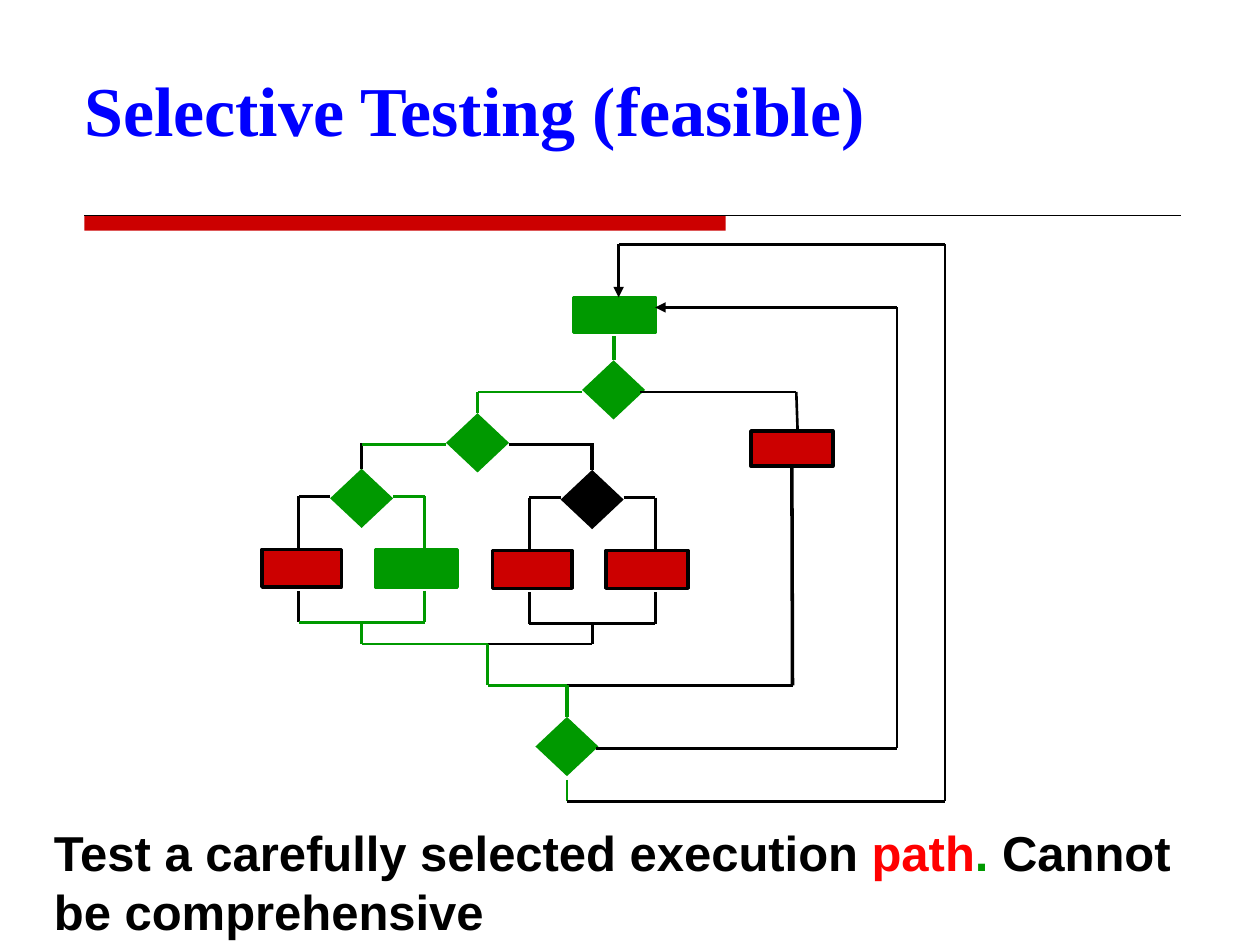
from dataclasses import dataclass
from itertools import pairwise
from typing import Optional

from lxml.etree import SubElement
from pptx import Presentation
from pptx.dml.color import RGBColor
from pptx.enum.shapes import MSO_CONNECTOR, MSO_SHAPE
from pptx.enum.text import MSO_ANCHOR
from pptx.oxml.ns import qn
from pptx.util import Cm, Length, Pt

COLOURS = {
    "title": "0000FF", "bar": "CC0000", "taken": "009900",
    "skipped": "CC0000", "line": "000000", "accent": "FF0000",
}
TOP, BOTTOM = 0, 2


@dataclass
class Span:
    text: str
    colour: str


@dataclass
class Route:
    """A chain of straight lines, optionally joined to (shape, site) at its ends."""
    points: list[tuple[float, float]]
    colour: str = "line"
    width: float = 1.5
    start: Optional[tuple] = None
    end: Optional[tuple] = None
    arrow: bool = False


def colour_of(name: str) -> RGBColor:
    return RGBColor.from_string(COLOURS[name])


def grid(units: float) -> Length:
    """Layout unit of 2.54 cm; the page is 10 by 7.5 units."""
    return Cm(units * 2.54)


def add_node(page, kind, left: float, top: float, width: float, height: float,
             fill: str, line: Optional[str] = None):
    node = page.shapes.add_shape(kind, grid(left), grid(top), grid(width), grid(height))
    node.shadow.inherit = False
    node.fill.solid()
    node.fill.fore_color.rgb = colour_of(fill)
    if line:
        node.line.color.rgb = colour_of(line)
        node.line.width = Pt(2)
    else:
        node.line.fill.background()
    return node


def add_step(page, left: float, top: float, width: float, height: float, taken: bool):
    fill, line = ("taken", "taken") if taken else ("skipped", "line")
    return add_node(page, MSO_SHAPE.RECTANGLE, left, top, width, height, fill, line)


def add_decision(page, centre: float, top: float, fill: str = "taken"):
    return add_node(page, MSO_SHAPE.DIAMOND, centre - 0.25, top, 0.5, 0.47, fill)


def add_route(page, route: Route) -> None:
    segments = list(pairwise(route.points))
    for index, (begin, finish) in enumerate(segments):
        last = index == len(segments) - 1
        connector = page.shapes.add_connector(
            MSO_CONNECTOR.STRAIGHT, *(grid(value) for value in begin + finish))
        connector.line.color.rgb = colour_of(route.colour)
        connector.line.width = Pt(route.width)
        if route.start and index == 0:
            connector.begin_connect(*route.start)
        if route.end and last:
            connector.end_connect(*route.end)
        if route.arrow and last:
            SubElement(connector.line._get_or_add_ln(), qn("a:tailEnd"), type="triangle")
        SubElement(connector._element.spPr, qn("a:effectLst"))


def add_branch(page, centre: float, top: float, entry: float, decision_fill: str,
               left_colour: str, right_colour: str, join_colour: str) -> None:
    """Draw a decision with two steps that merge again; entry is the line's height."""
    decision = add_decision(page, centre, top, decision_fill)
    add_step(page, centre - 0.79, top + 0.64, 0.63, 0.3, left_colour == "taken")
    add_step(page, centre + 0.11, top + 0.64, 0.65, 0.3, right_colour == "taken")
    add_route(page, Route([(centre, entry), (centre, top)], width=2, end=(decision, TOP)))
    arm, merge = top + 0.22, top + 1.22
    for side, colour in ((-1, left_colour), (1, right_colour)):
        outer = centre + side * 0.5
        add_route(page, Route([(centre + side * 0.25, arm), (outer, arm),
                               (outer, top + 0.64)], colour))
        add_route(page, Route([(outer, top + 0.97), (outer, merge)], colour))
    add_route(page, Route([(centre - 0.5, merge), (centre + 0.5, merge)], join_colour))
    add_route(page, Route([(centre, merge), (centre, 5.11)], join_colour))


def add_text(page, spans: list[Span], *, left: float, top: float, width: float,
             height: float, font: str, size: float, anchor=MSO_ANCHOR.TOP) -> None:
    box = page.shapes.add_textbox(grid(left), grid(top), grid(width), grid(height))
    box.text_frame.word_wrap = True
    box.text_frame.vertical_anchor = anchor
    para = box.text_frame.paragraphs[0]
    for span in spans:
        run = para.add_run()
        run.text = span.text
        run.font.name = font
        run.font.size = Pt(size)
        run.font.bold = True
        run.font.color.rgb = colour_of(span.colour)


def add_flowchart(page) -> None:
    add_step(page, 4.55, 2.36, 0.65, 0.28, True)
    side_step = add_step(page, 5.96, 3.42, 0.65, 0.28, False)
    first = add_decision(page, 4.87, 2.86)
    second = add_decision(page, 3.79, 3.28)
    last = add_decision(page, 4.5, 5.69)

    add_branch(page, 2.87, 3.72, 3.52, "taken", "line", "taken", "taken")
    add_branch(page, 4.7, 3.73, 3.52, "line", "line", "line", "line")

    routes = [
        Route([(4.87, 2.67), (4.87, 2.86)], "taken", 2.25, end=(first, TOP)),
        Route([(4.62, 3.11), (3.79, 3.11), (3.79, 3.28)], "taken", end=(second, TOP)),
        Route([(5.08, 3.11), (6.32, 3.11), (6.33, 3.41)]),
        Route([(3.54, 3.53), (2.87, 3.53)], "taken"),
        Route([(4.04, 3.53), (4.7, 3.53)]),
        Route([(6.29, 3.7), (6.29, 5.44)], width=2, start=(side_step, BOTTOM)),
        Route([(6.29, 5.44), (4.45, 5.44)]),
        Route([(4.7, 5.11), (3.87, 5.11)]),
        Route([(2.87, 5.11), (3.87, 5.11), (3.87, 5.44), (4.5, 5.44)], "taken"),
        Route([(4.5, 5.44), (4.5, 5.69)], "taken", 2, end=(last, TOP)),
        Route([(4.73, 5.94), (7.12, 5.94), (7.12, 2.44), (5.2, 2.44)], arrow=True),
        Route([(4.5, 6.19), (4.5, 6.36)], "taken"),
        Route([(4.5, 6.36), (7.5, 6.36), (7.5, 1.94), (4.91, 1.94), (4.91, 2.36)],
              arrow=True),
    ]
    for route in routes:
        add_route(page, route)


def main() -> None:
    deck = Presentation()
    deck.slide_width, deck.slide_height = Cm(25.4), Cm(19.05)
    page = deck.slides.add_slide(deck.slide_layouts[6])

    add_node(page, MSO_SHAPE.RECTANGLE, 0.67, 1.71, 5.09, 0.12, "bar")
    add_route(page, Route([(0.67, 1.71), (9.37, 1.71)], width=0.75))
    add_text(page, [Span("Selective Testing (feasible)", "title")],
             left=0.57, top=0.45, width=8.5, height=0.83,
             font="Times New Roman", size=40, anchor=MSO_ANCHOR.MIDDLE)
    add_flowchart(page)
    add_text(page, [Span("Test a carefully selected execution ", "line"),
                    Span("path", "accent"), Span(". ", "taken"),
                    Span("Cannot be comprehensive", "line")],
             left=0.33, top=6.48, width=9.58, height=1.01, font="Arial", size=28)
    deck.save("out.pptx")


if __name__ == "__main__":
    main()
